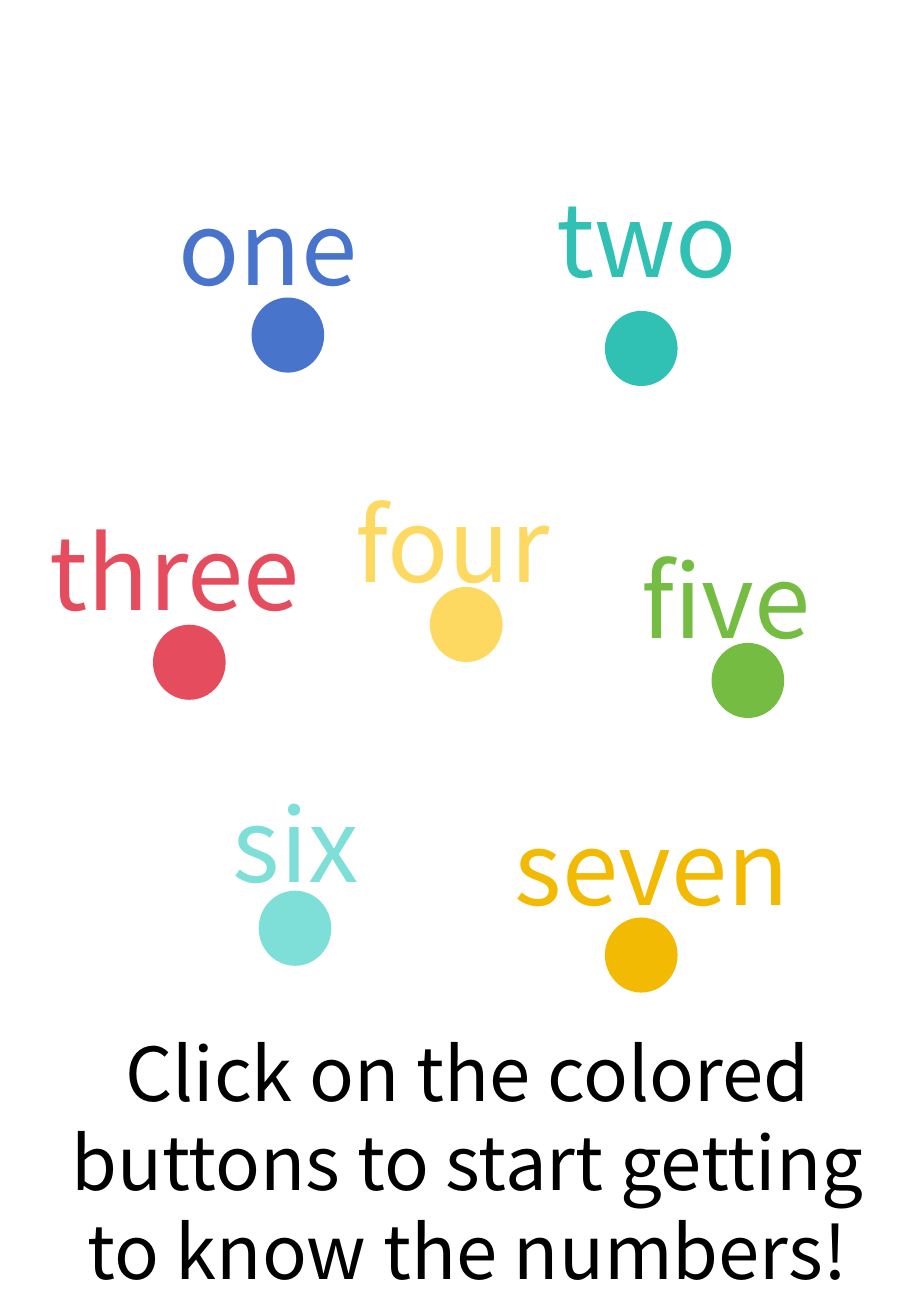
import dataclasses

import pptx
import pptx.dml.color
import pptx.enum.shapes
import pptx.enum.text
import pptx.shapes.autoshape
import pptx.slide
import pptx.util
from pptx.util import Cm


@dataclasses.dataclass(frozen=True)
class Theme:
    font: str = "Noto Sans CJK SC"
    instruction_size: int = 44
    number_size: int = 60
    line_height: float = 1.2
    black: str = "000000"
    blue: str = "4874CB"
    teal: str = "30C0B4"
    red: str = "E54C5E"
    yellow: str = "FED961"
    green: str = "75BD42"
    aqua: str = "7DDFD7"
    gold: str = "F2BA02"


@dataclasses.dataclass(frozen=True)
class NumberButton:
    word: str
    color: str
    word_left: float
    word_top: float
    dot_left: float
    dot_top: float
    word_width: float = 6.12


THEME = Theme()
WORD_HEIGHT = 2.29
DOT_WIDTH, DOT_HEIGHT = 1.52, 1.57
INSTRUCTION = "Click on the colored buttons to start getting to know the numbers!"
BUTTONS = [
    NumberButton("one", THEME.blue, 3.48, 3.58, 5.26, 6.22),
    NumberButton("two", THEME.teal, 11.38, 3.4, 12.65, 6.5),
    NumberButton("three", THEME.red, 0.79, 10.36, 3.2, 13.06),
    NumberButton("four", THEME.yellow, 7.19, 9.78, 8.99, 12.27),
    NumberButton("five", THEME.green, 13.16, 10.95, 14.88, 13.44),
    NumberButton("six", THEME.aqua, 4.62, 16.05, 5.41, 18.62),
    NumberButton("seven", THEME.gold, 10.52, 16.54, 12.65, 19.18, 7.19),
]


def write_text(
    box: pptx.shapes.autoshape.Shape,
    text: str,
    size: int,
    color: str,
    alignment: pptx.enum.text.PP_ALIGN,
    top_margin: float,
) -> None:
    frame = box.text_frame
    frame.text = text
    frame.word_wrap = True
    frame.auto_size = pptx.enum.text.MSO_AUTO_SIZE.NONE
    frame.vertical_anchor = pptx.enum.text.MSO_ANCHOR.TOP
    frame.margin_top = Cm(top_margin)
    paragraph = frame.paragraphs[0]
    paragraph.alignment = alignment
    paragraph.line_spacing = pptx.util.Pt(size * THEME.line_height)
    paragraph.font.name = THEME.font
    paragraph.font.size = pptx.util.Pt(size)
    paragraph.font.color.rgb = pptx.dml.color.RGBColor.from_string(color)


def draw_instruction(page: pptx.slide.Slide) -> None:
    title = page.shapes.title
    title.left, title.top = Cm(0.79), Cm(21.23)
    title.width, title.height = Cm(17.98), Cm(6.05)
    write_text(title, INSTRUCTION, THEME.instruction_size, THEME.black,
               pptx.enum.text.PP_ALIGN.CENTER, 0.24)


def draw_button(page: pptx.slide.Slide, button: NumberButton) -> None:
    dot = page.shapes.add_shape(
        pptx.enum.shapes.MSO_SHAPE.OVAL,
        Cm(button.dot_left), Cm(button.dot_top), Cm(DOT_WIDTH), Cm(DOT_HEIGHT),
    )
    dot.shadow.inherit = False
    dot.fill.solid()
    dot.fill.fore_color.rgb = pptx.dml.color.RGBColor.from_string(button.color)
    dot.line.fill.background()
    word = page.shapes.add_textbox(
        Cm(button.word_left), Cm(button.word_top),
        Cm(button.word_width), Cm(WORD_HEIGHT),
    )
    write_text(word, button.word, THEME.number_size, button.color,
               pptx.enum.text.PP_ALIGN.LEFT, 0.28)


def main() -> None:
    deck = pptx.Presentation()
    deck.slide_width, deck.slide_height = Cm(19.05), Cm(27.51)
    page = deck.slides.add_slide(deck.slide_layouts.get_by_name("Title Only"))
    draw_instruction(page)
    for button in BUTTONS:
        draw_button(page, button)
    deck.save("out.pptx")


if __name__ == "__main__":
    main()
